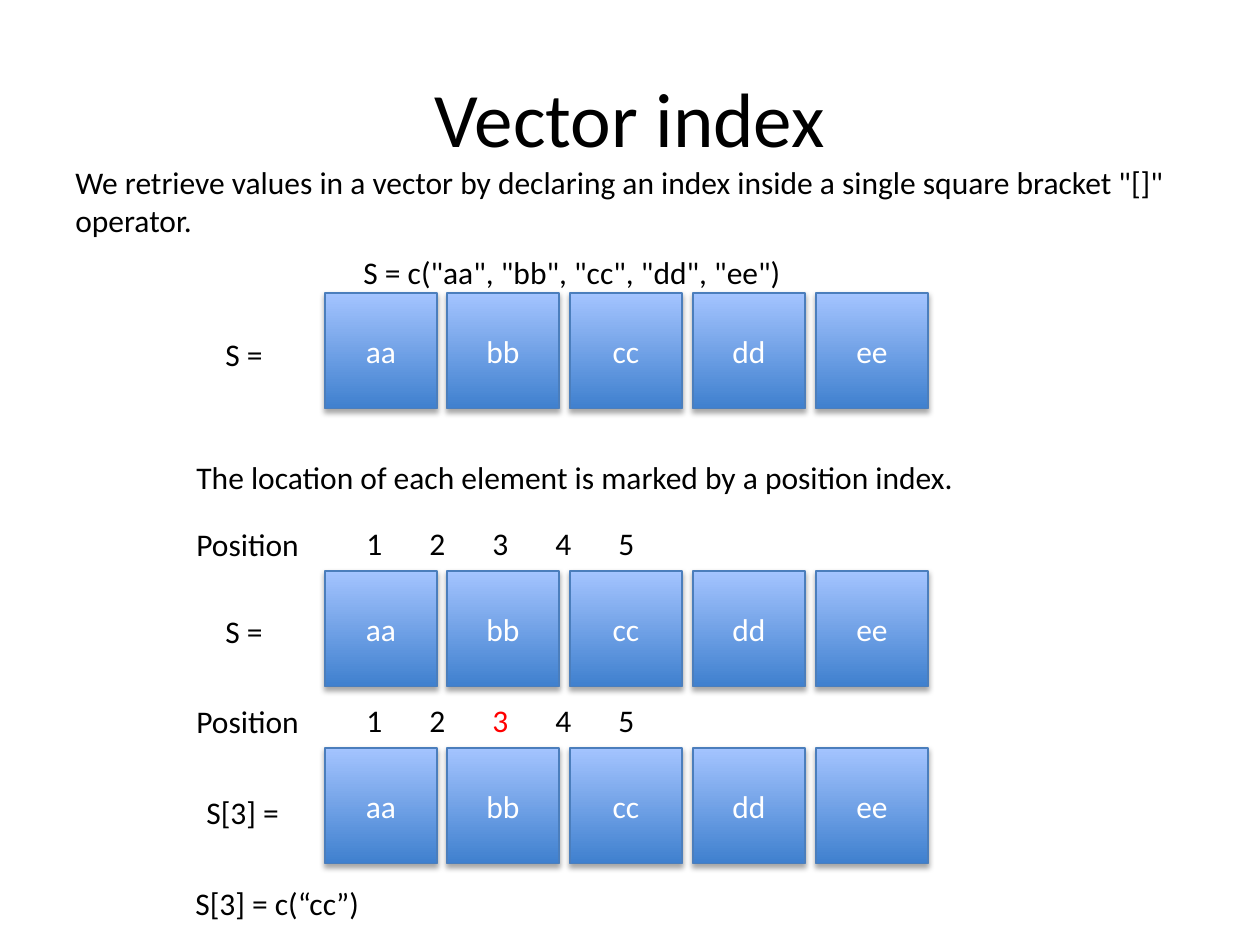
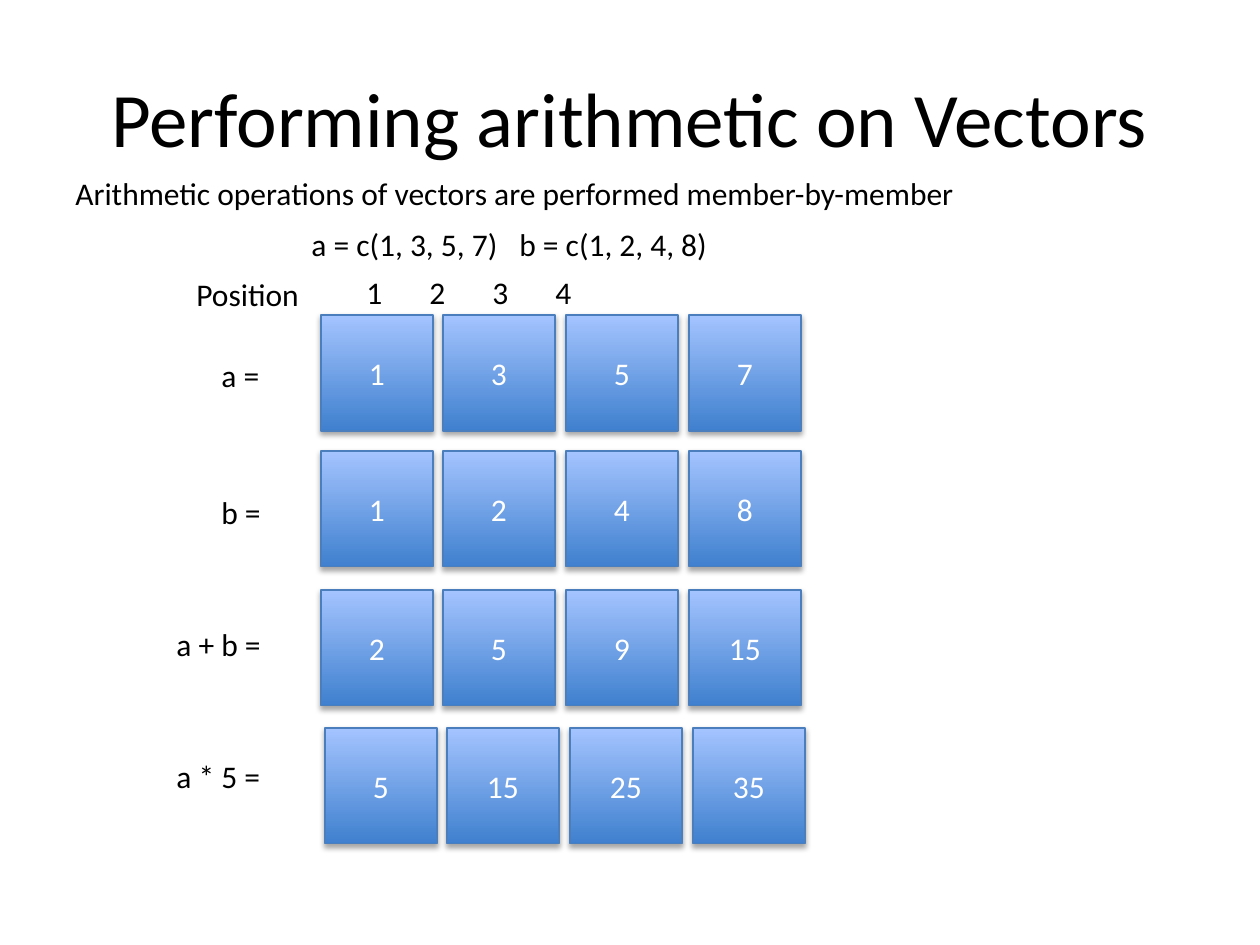
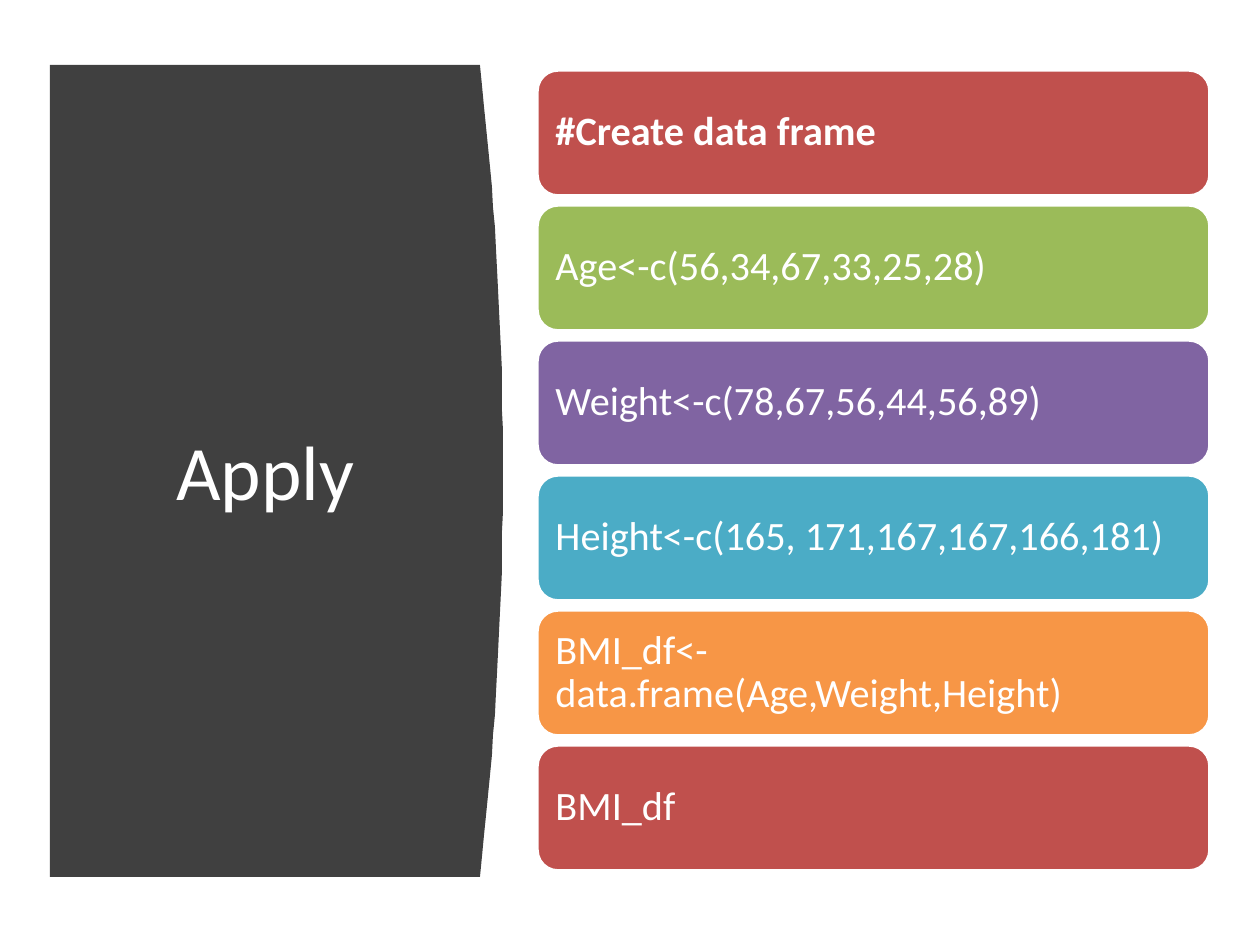
from lxml import etree
from pptx import Presentation, util as u
from pptx.dml.color import RGBColor
from pptx.enum import shapes, text
from pptx.oxml.ns import qn

PX = 7257  # EMU per px, 126 px to the inch
FONT = "Calibri"
C = {"black": "000000", "white": "FFFFFF", "mark": "FF0000", "panel": "404040",
     "cell_dark": "3F80CE", "cell_light": "A4C4FF", "cell_line": "4B7EBC",
     "red": "C0504D", "green": "9BBB59", "purple": "8064A2",
     "aqua": "4BACC6", "orange": "F79646"}
ALIGN, ANCHOR = text.PP_ALIGN, text.MSO_ANCHOR
TITLE = dict(size=44, align=ALIGN.CENTER, anchor=ANCHOR.MIDDLE, wrap=True)
TITLE_BOX = (63, 38, 1134, 157)


def write(s, words, box, shape=None, size=18, color="black", bold=False,
          align=ALIGN.LEFT, anchor=ANCHOR.TOP, wrap=False, spacing=None,
          indent=0, tabs=(), mark=None):
    """Add a text box, or a preset shape, holding one paragraph."""
    x, y, w, h = (v * PX for v in box)
    if shape is None:
        sp = s.shapes.add_textbox(x, y, w, h)
    else:
        sp = s.shapes.add_shape(shape, x, y, w, h)
        sp.shadow.inherit = False
    tf = sp.text_frame
    tf.word_wrap, tf.vertical_anchor = wrap, anchor
    p = tf.paragraphs[0]
    p.alignment = align
    if spacing:
        p.line_spacing = spacing
    pPr = p._p.get_or_add_pPr()
    if indent:
        pPr.set("marL", str(indent * PX))
        pPr.set("indent", "0")
    if tabs:
        tab_list = etree.SubElement(pPr, qn("a:tabLst"))
        for pos in tabs:
            etree.SubElement(tab_list, qn("a:tab"), pos=str(pos * PX), algn="l")
    for part in words.partition(mark) if mark else [words]:
        r = p.add_run()
        r.text = part
        r.font.name, r.font.size, r.font.bold = FONT, u.Pt(size), bold
        r.font.color.rgb = RGBColor.from_string(C["mark" if part == mark else color])
    return sp


def add_cells(s, values, x, y):
    """Add one row of shaded vector cells."""
    for i, value in enumerate(values):
        sp = write(s, value, (x + 491 * i // 4, y, 112, 116),
                   shapes.MSO_SHAPE.RECTANGLE, color="white", wrap=True,
                   align=ALIGN.CENTER, anchor=ANCHOR.MIDDLE)
        sp.fill.gradient()
        sp.fill.gradient_angle = 90
        for stop, name in zip(sp.fill.gradient_stops, ("cell_dark", "cell_light")):
            stop.color.rgb = RGBColor.from_string(C[name])
        sp.line.color.rgb = RGBColor.from_string(C["cell_line"])
        sp.line.width = u.Pt(0.75)
        effects = sp._element.spPr.find(qn("a:effectLst"))
        shadow = etree.SubElement(effects, qn("a:outerShdw"), blurRad="40000",
                                  dist="23000", dir="5400000", rotWithShape="0")
        black = etree.SubElement(shadow, qn("a:srgbClr"), val=C["black"])
        etree.SubElement(black, qn("a:alpha"), val="35000")


prs = Presentation()
prs.slide_width, prs.slide_height = u.Inches(10), u.Inches(7.5)
blank = prs.slide_layouts[6]
position_format = dict(indent=29, tabs=[29 + 245 * i // 2 for i in range(1, 5)], wrap=True)

# Slide 1: vector index
s = prs.slides.add_slide(blank)
write(s, "Vector index", TITLE_BOX, **TITLE)
write(s, "We retrieve values in a vector by declaring an index inside a single "
         'square bracket "[]" operator.', (63, 157, 1134, 89), wrap=True)
write(s, 'S = c("aa", "bb", "cc", "dd", "ee")', (351, 247, 456, 51))
write(s, "The location of each element is marked by a position index.", (184, 452, 791, 51))

for label, x, label_y, y in (("S =", 213, 329, 293), ("S =", 213, 606, 571),
                             ("S[3] =", 194, 787, 748)):
    add_cells(s, ["aa", "bb", "cc", "dd", "ee"], 325, y)
    write(s, label, (x, label_y, 106, 51))
for y, mark in ((518, None), (695, "3")):
    write(s, "Position", (184, y + 1, 128, 51))
    write(s, "1\t2\t3\t4\t5", (325, y, 604, 51), mark=mark, **position_format)
write(s, "S[3] = c(“cc”)", (183, 878, 198, 51))

# Slide 2: vector arithmetic
s = prs.slides.add_slide(blank)
write(s, "Performing arithmetic on Vectors", TITLE_BOX, **TITLE)
write(s, "Arithmetic operations of vectors are performed member-by-member",
      (63, 168, 1074, 51), wrap=True)
write(s, "a = c(1, 3, 5, 7)\tb = c(1, 2, 4, 8)", (299, 219, 630, 51), tabs=[208], wrap=True)
write(s, "Position", (184, 269, 128, 51))
write(s, "1\t2\t3\t4", (325, 267, 475, 51), **position_format)

for label, label_x, label_y, values, x, y in (
        ("a =", 209, 350, "1 3 5 7", 321, 315),
        ("b =", 209, 487, "1 2 4 8", 321, 451),
        ("a + b =", 164, 619, "2 5 9 15", 321, 590),
        ("a * 5 =", 164, 751, "5 15 25 35", 325, 728)):
    write(s, label, (label_x, label_y, 111, 51))
    add_cells(s, values.split(), x, y)

# Slide 3: curved title panel
s = prs.slides.add_slide(blank)
left, top, edge, half, bulge, steps = 50, 65, 480, 406, 23, 20
curve = [(edge + bulge * (1 - (i / steps) ** 2), top + half + half * i / steps)
         for i in range(-steps, steps + 1)]
outline = s.shapes.build_freeform(left, top, scale=PX)
outline.add_line_segments(curve + [(left, top + 2 * half)], close=True)
panel = outline.convert_to_shape()
panel.shadow.inherit = False
panel.fill.solid()
panel.fill.fore_color.rgb = RGBColor.from_string(C["panel"])
panel.line.fill.background()
write(s, "Apply", (89, 140, 353, 660), color="white", **TITLE)

# Code bars
bars = [("#Create data frame", "red"),
        ("Age<-c(56,34,67,33,25,28)", "green"),
        ("Weight<-c(78,67,56,44,56,89)", "purple"),
        ("Height<-c(165, 171,167,167,166,181)", "aqua"),
        ("BMI_df<-data.frame(Age,Weight,Height)", "orange"),
        ("BMI_df", "red")]
for i, (code, fill) in enumerate(bars):
    sp = write(s, code, (537, 70 + 135 * i, 673, 126), shapes.MSO_SHAPE.ROUNDED_RECTANGLE,
               size=23, color="white", bold=code.startswith("#"),
               anchor=ANCHOR.MIDDLE, wrap=True, spacing=0.9)
    sp.fill.solid()
    sp.fill.fore_color.rgb = RGBColor.from_string(C[fill])
    sp.line.color.rgb = RGBColor.from_string(C["white"])
    sp.line.width = u.Pt(2)

prs.save("out.pptx")
